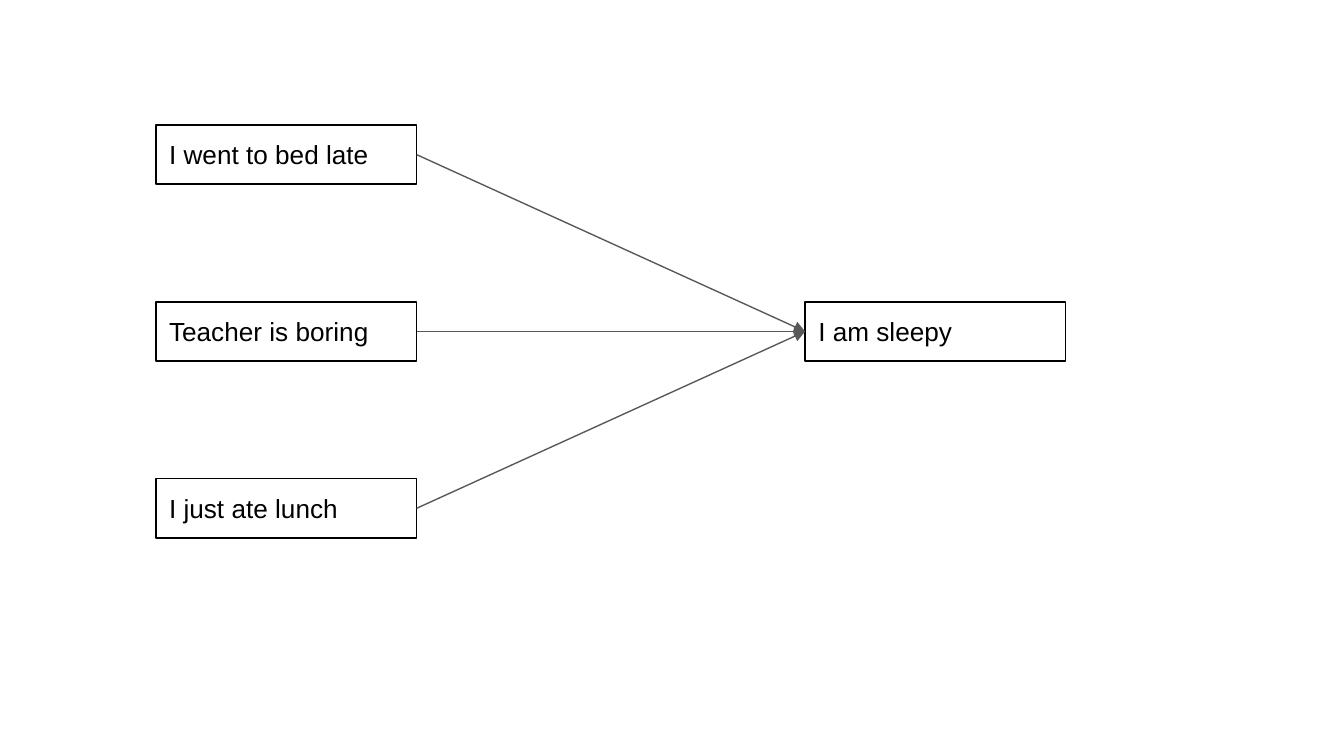
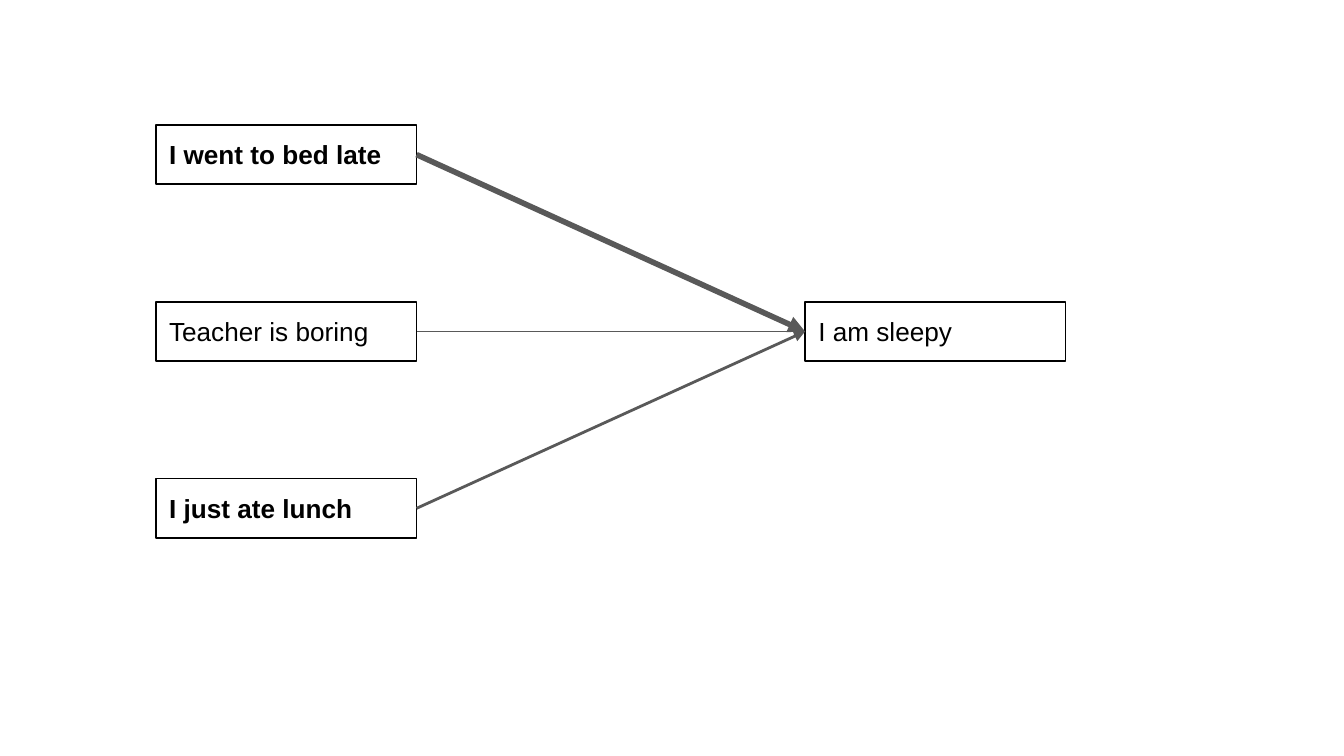
from lxml.etree import SubElement
from pptx import Presentation
from pptx.dml.color import RGBColor
from pptx.enum.shapes import MSO_CONNECTOR as CONNECTOR
from pptx.enum.text import MSO_ANCHOR as ANCHOR, MSO_AUTO_SIZE as AUTO_SIZE
from pptx.oxml.ns import qn
from pptx.util import Pt

# Shared style
BLACK = RGBColor(0x00, 0x00, 0x00)
GREY = RGBColor(0x59, 0x59, 0x59)
FONT = "Arial"
THIN = 0.75
INSET = 7.2

# Layout, in points
BOX_WIDTH, BOX_HEIGHT = 139.7, 31.7
CAUSE_LEFT, EFFECT_LEFT = 83.5, 431.3
FIRST_TOP, ROW_PITCH = 67, 94.75
LEFT_SITE, RIGHT_SITE = 1, 3

# Wording
CAUSES = ["I went to bed late", "Teacher is boring", "I just ate lunch"]
EFFECT = "I am sleepy"


def add_text(frame, text, size=14, bold=False, color=BLACK):
    span = frame.paragraphs[0].add_run()
    span.text = text
    span.font.name = FONT
    span.font.size = Pt(size)
    span.font.bold = bold
    span.font.color.rgb = color


def add_box(page, text, left, row, bold=False):
    top = FIRST_TOP + row * ROW_PITCH
    box = page.shapes.add_textbox(Pt(left), Pt(top), Pt(BOX_WIDTH), Pt(BOX_HEIGHT))
    box.line.color.rgb = BLACK
    box.line.width = Pt(THIN)
    frame = box.text_frame
    frame.word_wrap = True
    frame.auto_size = AUTO_SIZE.SHAPE_TO_FIT_TEXT
    frame.vertical_anchor = ANCHOR.TOP
    frame.margin_left = frame.margin_right = Pt(INSET)
    frame.margin_top = frame.margin_bottom = Pt(INSET)
    add_text(frame, text, bold=bold)
    return box


def add_arrow(page, cause, effect, weight):
    arrow = page.shapes.add_connector(CONNECTOR.STRAIGHT, 0, 0, 0, 0)
    arrow.begin_connect(cause, RIGHT_SITE)
    arrow.end_connect(effect, LEFT_SITE)
    arrow.line.color.rgb = GREY
    arrow.line.width = Pt(weight)
    # Arrowhead, and no theme shadow
    properties = arrow.line._get_or_add_ln()
    SubElement(properties, qn("a:tailEnd"), type="triangle", w="med", len="med")
    SubElement(arrow._element.spPr, qn("a:effectLst"))


def add_cause_page(deck, weights):
    """Draw the causes and their effect; heavier causes are bold."""
    page = deck.slides.add_slide(deck.slide_layouts[6])
    effect = add_box(page, EFFECT, EFFECT_LEFT, row=1)
    for row, (text, weight) in enumerate(zip(CAUSES, weights)):
        cause = add_box(page, text, CAUSE_LEFT, row, bold=weight > THIN)
        add_arrow(page, cause, effect, weight)


def main():
    deck = Presentation()
    deck.slide_width, deck.slide_height = Pt(720), Pt(405)
    # Equal causes, then weighted causes
    add_cause_page(deck, [THIN, THIN, THIN])
    add_cause_page(deck, [3, THIN, 1.5])
    deck.save("out.pptx")


if __name__ == "__main__":
    main()
